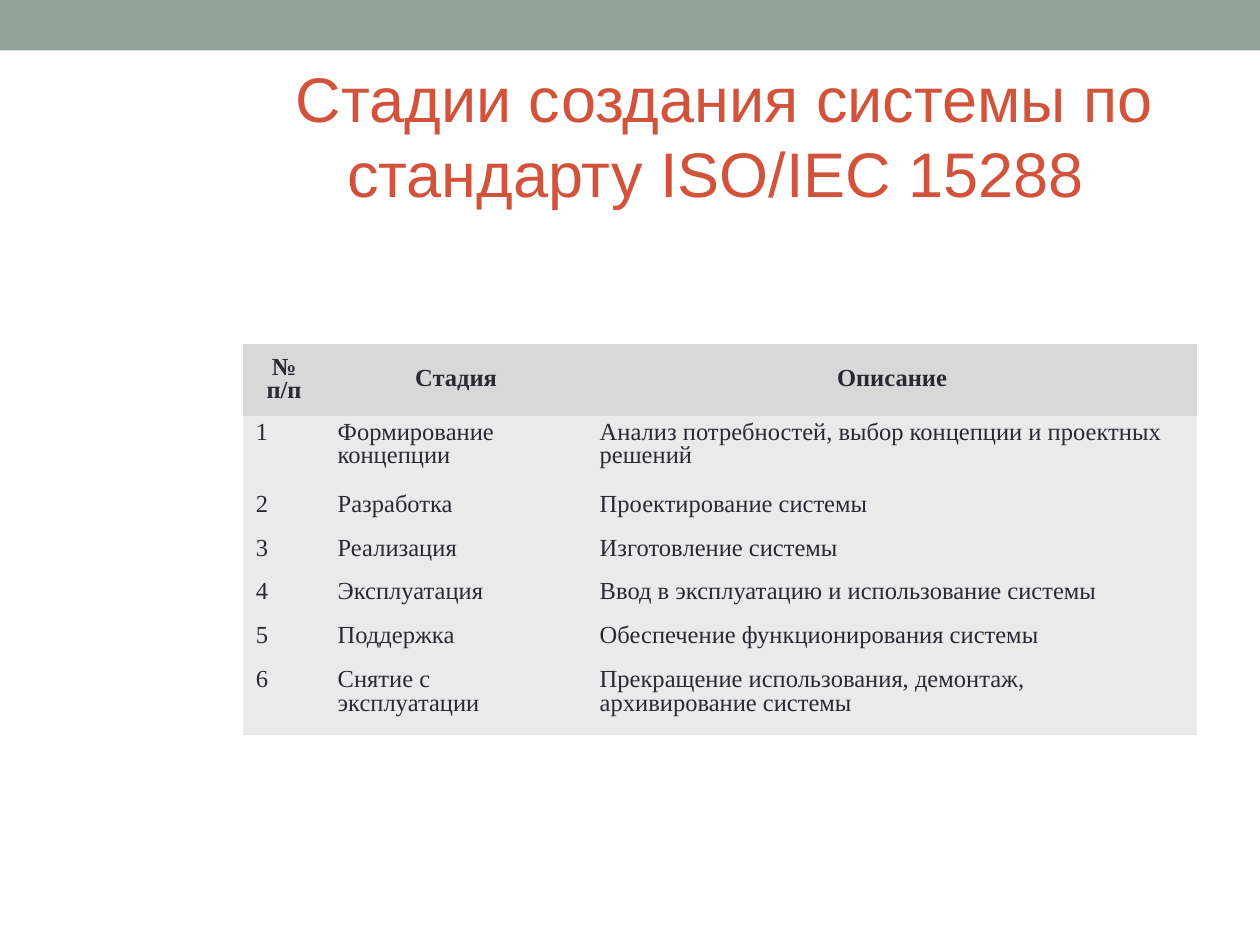
from pptx import Presentation
from pptx.dml.color import RGBColor
from pptx.enum.shapes import MSO_SHAPE
from pptx.enum.text import MSO_ANCHOR, MSO_AUTO_SIZE, PP_ALIGN
from pptx.oxml.ns import qn
from pptx.util import Inches, Pt

SAGE = RGBColor(0x93, 0xA2, 0x99)
BRICK = RGBColor(0xD2, 0x53, 0x3C)
INK = RGBColor(0x29, 0x29, 0x34)
HEADER_GRAY = RGBColor(0xD8, 0xD8, 0xD8)
BODY_GRAY = RGBColor(0xEA, 0xEA, 0xEA)

NO_GRID_STYLE = "{2D5ABB26-0587-4C30-8999-92F81FD0307C}"
COLUMN_WIDTHS = (0.65, 2.08, 4.84)
SHORT_ROW, TALL_ROW = 0.35, 0.57
HEADERS = ("№ п/п", "Стадия", "Описание")
STAGES = (
    ("Формирование концепции", "Анализ потребностей, выбор концепции и проектных решений", TALL_ROW),
    ("Разработка", "Проектирование системы", SHORT_ROW),
    ("Реализация", "Изготовление системы", SHORT_ROW),
    ("Эксплуатация", "Ввод в эксплуатацию и использование системы", SHORT_ROW),
    ("Поддержка", "Обеспечение функционирования системы", SHORT_ROW),
    ("Снятие с эксплуатации", "Прекращение использования, демонтаж, архивирование системы", TALL_ROW),
)


def add_text(paragraph, text, font_name, size, color, bold=False):
    run = paragraph.add_run()
    run.text = text
    run.font.name = font_name
    run.font.size = Pt(size)
    run.font.color.rgb = color
    run.font.bold = bold


def add_band(slide, left, top, width, height):
    band = slide.shapes.add_shape(MSO_SHAPE.RECTANGLE, left, top, width, height)
    band.shadow.inherit = False
    band.fill.solid()
    band.fill.fore_color.rgb = SAGE
    band.line.fill.background()


def place_title(slide, left, top, width, height):
    title = slide.shapes.title
    title.left, title.top, title.width, title.height = left, top, width, height
    frame = title.text_frame
    frame.word_wrap = True
    frame.auto_size = MSO_AUTO_SIZE.NONE
    frame.vertical_anchor = MSO_ANCHOR.MIDDLE
    paragraph = frame.paragraphs[0]
    paragraph.alignment = PP_ALIGN.CENTER
    add_text(paragraph, "Стадии создания системы по стандарту ISO/IEC 15288 ", "Arial", 36, BRICK)


def fill_cell(cell, text, is_header):
    cell.fill.solid()
    cell.fill.fore_color.rgb = HEADER_GRAY if is_header else BODY_GRAY
    cell.vertical_anchor = MSO_ANCHOR.MIDDLE if is_header else MSO_ANCHOR.TOP
    paragraph = cell.text_frame.paragraphs[0]
    paragraph.alignment = PP_ALIGN.CENTER if is_header else PP_ALIGN.LEFT
    paragraph.line_spacing = 0.86
    add_text(paragraph, text, "Times New Roman", 14, INK, is_header)


def add_stage_table(slide, left, top, width, height):
    rows = [HEADERS] + [
        (str(number), stage, description)
        for number, (stage, description, _) in enumerate(STAGES, 1)
    ]
    row_heights = [TALL_ROW] + [row_height for _, _, row_height in STAGES]
    frame = slide.shapes.add_table(len(rows), len(HEADERS), left, top, width, height)
    table = frame.table
    table.first_row = table.horz_banding = False
    table._tbl.tblPr.find(qn("a:tableStyleId")).text = NO_GRID_STYLE
    for column, share in zip(table.columns, COLUMN_WIDTHS):
        column.width = int(width * share / sum(COLUMN_WIDTHS))
    for row, share in zip(table.rows, row_heights):
        row.height = int(height * share / sum(row_heights))
    for row_index, texts in enumerate(rows):
        for column_index, text in enumerate(texts):
            fill_cell(table.cell(row_index, column_index), text, row_index == 0)


def main():
    presentation = Presentation()
    presentation.slide_width = Inches(10)
    presentation.slide_height = Inches(7.5)
    slide = presentation.slides.add_slide(presentation.slide_layouts[5])
    add_band(slide, 0, 0, presentation.slide_width, Inches(0.4))
    place_title(slide, Inches(1.5), Inches(0.44), Inches(8.5), Inches(1.26))
    add_stage_table(slide, Inches(1.93), Inches(2.73), Inches(7.57), Inches(3.1))
    presentation.save("out.pptx")


if __name__ == "__main__":
    main()
